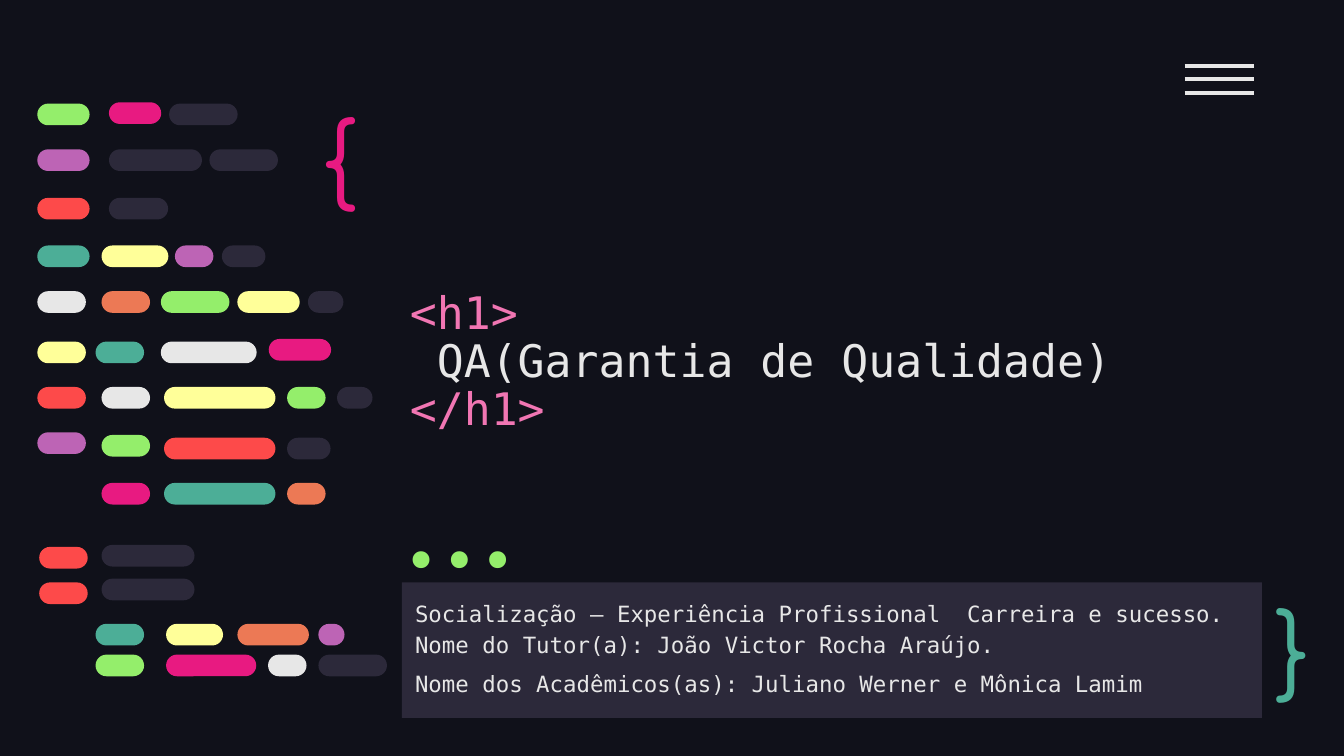
from pptx import Presentation
from pptx.dml.color import RGBColor
from pptx.enum.shapes import MSO_CONNECTOR, MSO_SHAPE
from pptx.enum.text import MSO_ANCHOR, MSO_AUTO_SIZE, PP_ALIGN
from pptx.oxml.ns import qn
from pptx.util import Pt
from lxml import etree

RECTANGLE, PILL = MSO_SHAPE.RECTANGLE, MSO_SHAPE.ROUNDED_RECTANGLE
STRAIGHT = MSO_CONNECTOR.STRAIGHT
TOP, MIDDLE, BOTTOM = MSO_ANCHOR.TOP, MSO_ANCHOR.MIDDLE, MSO_ANCHOR.BOTTOM
LEFT, RIGHT = PP_ALIGN.LEFT, PP_ALIGN.RIGHT

BACKGROUND = RGBColor(0x10, 0x11, 0x1A)
SLATE = RGBColor(0x2C, 0x29, 0x3A)
WHITE = RGBColor(0xE7, 0xE7, 0xE7)
PINK = RGBColor(0xF1, 0x76, 0xB3)
MAGENTA = RGBColor(0xE8, 0x1A, 0x81)
GREEN = RGBColor(0x94, 0xEE, 0x6B)
TEAL = RGBColor(0x4C, 0xAE, 0x97)
PURPLE = RGBColor(0xBD, 0x64, 0xB5)
RED = RGBColor(0xFD, 0x4A, 0x4A)
YELLOW = RGBColor(0xFF, 0xFF, 0x99)
ORANGE = RGBColor(0xEC, 0x79, 0x55)

CODE_FONT = "DejaVu Sans Mono"
INSET = 7.2
PILL_HEIGHT = 11.6

# Rows of code pills: top, then (left, width, colour) of each pill
CODE_ROWS = [
    (55.5, [(20, 28, GREEN), (90.6, 36.7, SLATE)]),
    (54.8, [(58.4, 28, MAGENTA)]),
    (80, [(20, 28, PURPLE), (58.4, 49.8, SLATE), (112.2, 36.7, SLATE)]),
    (106, [(20, 28, RED), (58.4, 31.7, SLATE)]),
    (131.5, [(20, 28, TEAL), (54.4, 35.8, YELLOW), (93.7, 20.6, PURPLE),
             (118.9, 23.3, SLATE)]),
    (156, [(20, 26, WHITE), (54.4, 26, ORANGE), (86.2, 36.7, GREEN),
           (127.2, 33.4, YELLOW), (165, 19, SLATE)]),
    (183, [(20, 26, YELLOW), (51.2, 26, TEAL), (86.2, 51.3, WHITE)]),
    (181.6, [(144, 33.4, MAGENTA)]),
    (207.3, [(20, 26, RED), (54.4, 26, WHITE), (87.9, 59.7, YELLOW),
             (153.8, 20.6, GREEN), (180.6, 19, SLATE)]),
    (231.6, [(20, 26, PURPLE)]),
    (233, [(54.4, 26, GREEN)]),
    (234.5, [(87.9, 59.7, RED), (153.8, 23.3, SLATE)]),
    (258.7, [(54.4, 26, MAGENTA), (87.9, 59.7, TEAL), (153.8, 20.6, ORANGE)]),
    (293, [(21, 26, RED)]),
    (291.9, [(54.4, 49.8, SLATE)]),
    (312, [(21, 26, RED)]),
    (310, [(54.4, 49.8, SLATE)]),
    (334.2, [(51.2, 26, TEAL), (89, 30.5, YELLOW), (127.2, 38.3, ORANGE),
             (170.6, 14, PURPLE)]),
    (350.7, [(51.2, 26, GREEN), (89, 48.3, MAGENTA), (143.6, 20.6, WHITE),
             (170.6, 36.7, SLATE)]),
]

# Large code symbols: text, box, font, colour, anchor, alignment
SYMBOLS = [
    ("{", (165, 44.6, 55.4, 68.4), "Comfortaa", MAGENTA, TOP, LEFT),
    ("}", (676, 315.4, 41, 59.8), "Comfortaa", TEAL, MIDDLE, LEFT),
    ("...", (185.8, 277.9, 113.8, 43.2), "Fira Code", GREEN, BOTTOM, RIGHT),
]

DETAILS = [
    ("Socialização – Experiência Profissional  Carreira e sucesso.", 0),
    ("Nome do Tutor(a): João Victor Rocha Araújo.", 0),
    ("Nome dos Acadêmicos(as): Juliano Werner e Mônica Lamim", 4.5),
]


def set_font(font, name, size, color=None):
    font.name = name
    font.size = Pt(size)
    if color is not None:
        font.color.rgb = color


def prepare_frame(shape, anchor):
    frame = shape.text_frame
    frame.word_wrap = True
    frame.auto_size = MSO_AUTO_SIZE.NONE
    frame.vertical_anchor = anchor
    frame.margin_left = frame.margin_right = Pt(INSET)
    frame.margin_top = frame.margin_bottom = Pt(INSET)
    return frame


def add_filled_shape(shapes, kind, left, top, width, height, color):
    shape = shapes.add_shape(kind, Pt(left), Pt(top), Pt(width), Pt(height))
    shape.shadow.inherit = False
    shape.fill.solid()
    shape.fill.fore_color.rgb = color
    shape.line.fill.background()
    return shape


def write_title(slide):
    title = slide.shapes.title
    title.left, title.top, title.width, title.height = (
        Pt(212.4), Pt(79.9), Pt(456.5), Pt(160.6))
    paragraph = prepare_frame(title, BOTTOM).paragraphs[0]
    paragraph.alignment = LEFT
    paragraph.line_spacing = 0.9
    set_font(paragraph.font, CODE_FONT, 24)
    lines = [("<h1>", PINK), (" QA(Garantia de Qualidade)", WHITE), ("</h1>", PINK)]
    for index, (text, color) in enumerate(lines):
        if index:
            paragraph.add_line_break()
        run = paragraph.add_run()
        run.text = text
        set_font(run.font, CODE_FONT, 24, color)


def add_details(slide):
    panel = add_filled_shape(slide.shapes, RECTANGLE, 215.3, 312, 460.8, 72.6, SLATE)
    frame = prepare_frame(panel, TOP)
    for index, (text, space_before) in enumerate(DETAILS):
        paragraph = frame.add_paragraph() if index else frame.paragraphs[0]
        paragraph.text = text
        paragraph.alignment = LEFT
        paragraph.line_spacing = 1.15
        paragraph.space_before = Pt(space_before)
        set_font(paragraph.font, CODE_FONT, 12, WHITE)


def add_symbol(slide, text, box, font_name, color, anchor, alignment):
    text_box = slide.shapes.add_textbox(*(Pt(length) for length in box))
    paragraph = prepare_frame(text_box, anchor).paragraphs[0]
    paragraph.text = text
    paragraph.alignment = alignment
    set_font(paragraph.font, font_name, 50, color)


def add_menu_icon(slide):
    group = slide.shapes.add_group_shape()
    for index in range(3):
        y = Pt(35.3 + 7.2 * index)
        line = group.shapes.add_connector(STRAIGHT, Pt(634.6), y, Pt(671.8), y)
        line.line.color.rgb = WHITE
        line.line.width = Pt(2.25)
        etree.SubElement(line._element.spPr, qn("a:effectLst"))


def add_code_pills(slide):
    group = slide.shapes.add_group_shape()
    for top, pills in CODE_ROWS:
        for left, width, color in pills:
            pill = add_filled_shape(group.shapes, PILL, left, top, width,
                                    PILL_HEIGHT, color)
            pill.adjustments[0] = 0.5


def main():
    presentation = Presentation()
    presentation.slide_width, presentation.slide_height = Pt(720), Pt(405)
    slide = presentation.slides.add_slide(presentation.slide_layouts[5])
    slide.background.fill.solid()
    slide.background.fill.fore_color.rgb = BACKGROUND

    # Title and details panel
    write_title(slide)
    add_details(slide)

    # Decoration: symbols, menu icon and code pills
    for symbol in SYMBOLS:
        add_symbol(slide, *symbol)
    add_menu_icon(slide)
    add_code_pills(slide)

    presentation.save("out.pptx")


if __name__ == "__main__":
    main()
